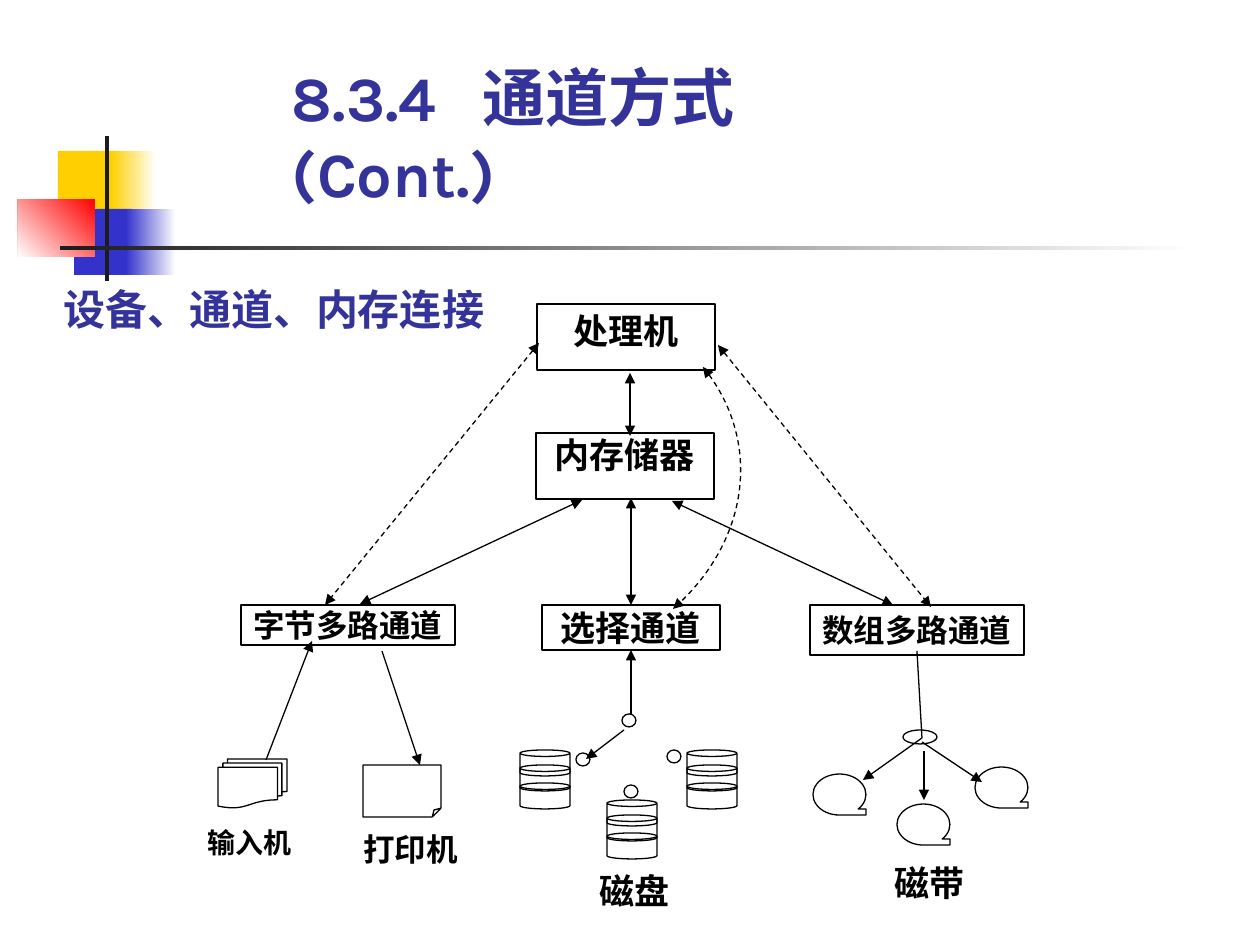
"""Draw the slide on devices, channels and memory links."""
from dataclasses import dataclass
from typing import Any, Optional

import pptx
import pptx.dml.color
import pptx.enum.dml
import pptx.enum.shapes
import pptx.enum.text
import pptx.oxml
import pptx.oxml.ns
import pptx.util

KIND = pptx.enum.shapes.MSO_SHAPE
ALIGN = pptx.enum.text.PP_ALIGN
ANCHOR = pptx.enum.text.MSO_ANCHOR
FIT = pptx.enum.text.MSO_AUTO_SIZE
NS = pptx.oxml.ns.nsdecls("a")
QN = pptx.oxml.ns.qn
SCALE = 914400 / 126
HUES = {"ink": "000000", "head": "333399", "gold": "FFCF01", "blue": "3333CC",
        "red": "FF0000", "dark": "1C1C1C", "white": "FFFFFF"}
LOOK = {"font": "Karla", "hue": "head", "align": ALIGN.LEFT,
        "anchor": ANCHOR.BOTTOM, "grow": True}


@dataclass
class Block:
    x: int
    y: int
    w: int
    h: int
    hue: str
    fade: Optional[str] = None
    turn: int = 180


@dataclass
class Box:
    name: str
    x: int
    y: int
    w: int
    h: int
    size: int
    side: int = 0
    top: int = 0
    grow: bool = True


@dataclass
class Wire:
    x1: int
    y1: int
    x2: int
    y2: int
    head: bool = False
    tail: bool = True
    dash: bool = False


BLOCKS = [
    Block(58, 151, 60, 66, "gold"), Block(111, 151, 45, 66, "white", "gold"),
    Block(74, 209, 58, 66, "blue"), Block(126, 209, 50, 66, "white", "blue"),
    Block(18, 199, 77, 58, "red", "white", 225),
    Block(105, 136, 4, 145, "dark"), Block(60, 246, 1134, 4, "white", "dark")]
BOXES = [
    Box("处理机", 537, 304, 178, 66, 20, 13, 6, False),
    Box("内存储器", 536, 433, 178, 66, 20, 13, 1, False),
    Box("字节多路通道", 241, 605, 214, 40, 18, 8, 1),
    Box("数组多路通道", 810, 605, 214, 50, 18, 3, 6)]
PICK = Box("选择通道", 542, 605, 178, 45, 20, 13, 1)
LABELS = [
    Box("磁盘", 586, 869, 97, 42, 20), Box("磁带", 878, 861, 103, 42, 20),
    Box("打印机", 359, 829, 103, 55, 18, 3, 1, False),
    Box("输入机", 199, 825, 101, 55, 16, 3, 1, False)]
WIRES = [
    Wire(624, 730, 586, 759), Wire(382, 651, 420, 765), Wire(266, 760, 312, 641),
    Wire(917, 651, 922, 738, tail=False), Wire(922, 738, 863, 780),
    Wire(922, 742, 982, 782), Wire(924, 751, 924, 800),
    Wire(582, 500, 360, 604, True), Wire(672, 501, 893, 605, True),
    Wire(539, 343, 325, 605, True, dash=True),
    Wire(718, 345, 931, 607, True, dash=True), Wire(630, 373, 630, 436, True)]
DISKS = [(520, 750), (607, 800), (687, 750)]
DOTS = [(622, 714), (667, 750), (624, 785), (576, 753)]
TAPES = [(813, 774), (975, 767), (897, 804)]


def px(num: int) -> int:
    return round(num * SCALE)


def tone(name: str) -> Any:
    return pptx.dml.color.RGBColor.from_string(HUES[name])


def write(frame: Any, text: str, *, size: int, font: str = "Times New Roman",
          hue: str = "ink", align: Any = ALIGN.CENTER, anchor: Any = ANCHOR.TOP,
          side: int = 0, top: int = 0, right: int = 0, stop: int = 0,
          grow: bool = False) -> None:
    frame.word_wrap = True
    frame.auto_size = FIT.SHAPE_TO_FIT_TEXT if grow else FIT.NONE
    frame.vertical_anchor = anchor
    frame.margin_left, frame.margin_right = px(side), px(right or side)
    frame.margin_top = frame.margin_bottom = px(top)
    para = frame.paragraphs[0]
    para.alignment = align
    if stop:
        tabs = f'<a:tabLst {NS}><a:tab pos="{px(stop)}" algn="l"/></a:tabLst>'
        para._p.get_or_add_pPr().append(pptx.oxml.parse_xml(tabs))
    run = para.add_run()
    run.text = text
    run.font.name, run.font.size = font, pptx.util.Pt(size)
    run.font.bold = True
    run.font.color.rgb = tone(hue)


def stroke(line: Any, dash: bool = False, head: bool = False, tail: bool = False) -> None:
    line.color.rgb = tone("ink")
    line.width = pptx.util.Pt(0.75)
    if dash:
        line.dash_style = pptx.enum.dml.MSO_LINE.DASH
    for tag, want in (("headEnd", head), ("tailEnd", tail)):
        if want:
            mark = pptx.oxml.parse_xml(f'<a:{tag} {NS} type="triangle"/>')
            line._get_or_add_ln().append(mark)


def place(shapes: Any, kind: Any, x: int, y: int, w: int, h: int) -> Any:
    shape = shapes.add_shape(kind, px(x), px(y), px(w), px(h))
    shape.shadow.inherit = False
    shape.fill.background()
    stroke(shape.line)
    return shape


def paint(shapes: Any, block: Block) -> None:
    shape = place(shapes, KIND.RECTANGLE, block.x, block.y, block.w, block.h)
    shape.line.fill.background()
    if block.fade:
        shape.fill.gradient()
        shape.fill.gradient_angle = block.turn
        for stop, hue in zip(shape.fill.gradient_stops, (block.hue, block.fade)):
            stop.color.rgb = tone(hue)
    else:
        shape.fill.solid()
        shape.fill.fore_color.rgb = tone(block.hue)


def label(shapes: Any, box: Box, edge: bool = True) -> Any:
    area = (box.x, box.y, box.w, box.h)
    shape = (place(shapes, KIND.RECTANGLE, *area) if edge
             else shapes.add_textbox(*map(px, area)))
    write(shape.text_frame, box.name, size=box.size, side=box.side,
          top=box.top, grow=box.grow)
    return shape


def link(shapes: Any, wire: Wire) -> Any:
    line = shapes.add_connector(pptx.enum.shapes.MSO_CONNECTOR.STRAIGHT,
                                px(wire.x1), px(wire.y1), px(wire.x2), px(wire.y2))
    stroke(line.line, wire.dash, wire.head, wire.tail)
    line._element.spPr.append(pptx.oxml.parse_xml(f"<a:effectLst {NS}/>"))
    return line


def bend(shapes: Any, start: tuple[int, int], *points: tuple[int, int]) -> None:
    form = shapes.build_freeform(*start, scale=SCALE)
    form.add_line_segments(points, close=False)
    shape = form.convert_to_shape()
    shape.shadow.inherit = False
    shape.fill.background()
    stroke(shape.line, dash=True, head=True, tail=True)
    track = next(shape._element.iter(QN("a:path")))
    curve = pptx.oxml.parse_xml(f"<a:cubicBezTo {NS}/>")
    for step in track.findall(QN("a:lnTo")):
        curve.append(step[0])
        track.remove(step)
    track.append(curve)


def main() -> None:
    deck = pptx.Presentation()
    deck.slide_width, deck.slide_height = px(1260), px(945)
    shapes = deck.slides.add_slide(deck.slide_layouts[5]).shapes
    for block in BLOCKS:
        paint(shapes, block)
    title = shapes.title
    title.left, title.top, title.width, title.height = map(px, (64, 284, 442, 50))
    write(title.text_frame, "设备、通道、内存连接", size=24, **LOOK)
    for box in BOXES:
        label(shapes, box)
    pick = label(shapes, PICK)
    for x, y in DISKS:
        group = shapes.add_group_shape()
        for drop in (0, 15, 33):
            place(group.shapes, KIND.CAN, x, y + drop, 50, 26)
    for x, y in DOTS:
        place(shapes, KIND.OVAL, x, y, 14, 13)
    for x, y in TAPES:
        place(shapes, KIND.FLOWCHART_SEQUENTIAL_ACCESS_STORAGE, x, y, 53, 41)
    place(shapes, KIND.OVAL, 903, 730, 34, 14)
    place(shapes, KIND.FLOWCHART_MULTIDOCUMENT, 218, 759, 69, 49)
    place(shapes, KIND.FOLDED_CORNER, 363, 765, 78, 52)
    for box in LABELS:
        label(shapes, box, edge=False)
    for wire in WIRES:
        link(shapes, wire)
    link(shapes, Wire(631, 498, 631, 605, True)).end_connect(pick, 0)
    link(shapes, Wire(631, 715, 631, 650)).end_connect(pick, 2)
    bend(shapes, (703, 367), (761, 437), (748, 544), (673, 609))
    head = shapes.add_textbox(*map(px, (292, 59, 655, 151)))
    write(head.text_frame, "8.3.4\t通道方式(Cont.)", size=36, stop=191, right=40, **LOOK)
    deck.save("out.pptx")


if __name__ == "__main__":
    main()
